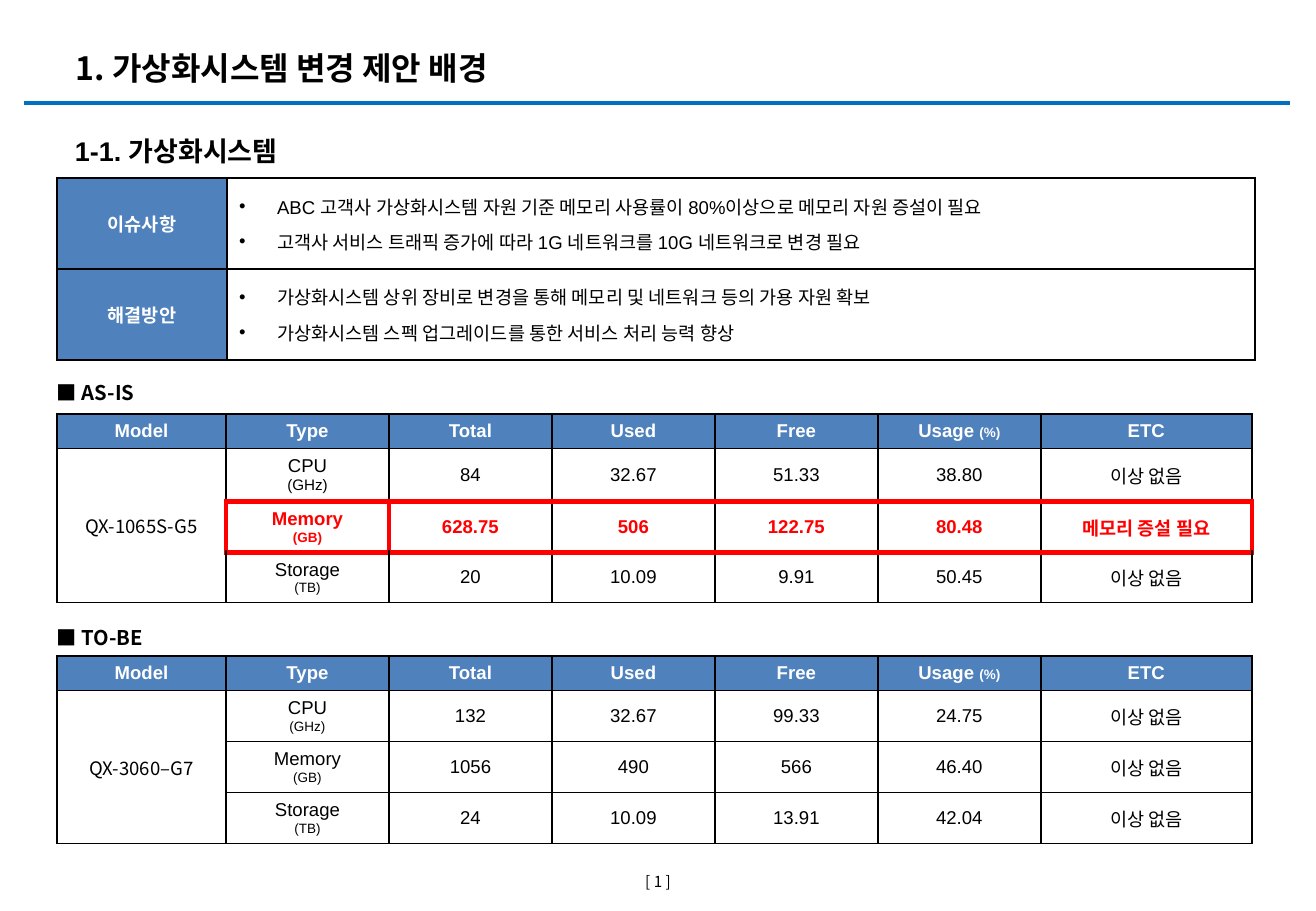
from lxml.etree import SubElement
from pptx import Presentation
from pptx.dml.color import RGBColor
from pptx.enum.shapes import MSO_CONNECTOR
from pptx.enum.text import MSO_ANCHOR, PP_ALIGN
from pptx.oxml.ns import qn
from pptx.util import Pt

PX = 7526
COLORS = {"ink": "000000", "header": "4F81BD", "white": "FFFFFF", "alert": "FF0000", "rule": "0070C0"}
LATIN, KOREAN = "Arial", "Noto Sans CJK KR"
HEADINGS = ["Model", "Type", "Total", "Used", "Free", "Usage ", "ETC"]
SPEC_COLUMNS = [169, 163, 163, 163, 163, 163, 211]
ISSUES = [
    ("이슈사항", ["ABC 고객사 가상화시스템 자원 기준 메모리 사용률이 80%이상으로 메모리 자원 증설이 필요",
              "고객사 서비스 트래픽 증가에 따라 1G 네트워크를 10G 네트워크로 변경 필요"]),
    ("해결방안", ["가상화시스템 상위 장비로 변경을 통해 메모리 및 네트워크 등의 가용 자원 확보",
              "가상화시스템 스펙 업그레이드를 통한 서비스 처리 능력 향상"]),
]
AS_IS = [
    ("CPU", "(GHz)", 9, ["84", "32.67", "51.33", "38.80", "이상 없음"]),
    ("Memory", "(GB)", 8, ["628.75", "506", "122.75", "80.48", "메모리 증설 필요"]),
    ("Storage", "(TB)", 8, ["20", "10.09", "9.91", "50.45", "이상 없음"]),
]
TO_BE = [
    ("CPU", "(GHz)", 8, ["132", "32.67", "99.33", "24.75", "이상 없음"]),
    ("Memory", "(GB)", 8, ["1056", "490", "566", "46.40", "이상 없음"]),
    ("Storage", "(TB)", 8, ["24", "10.09", "13.91", "42.04", "이상 없음"]),
]


def px(*lengths):
    """Turn pixel lengths into EMU."""
    return [length * PX for length in lengths]


def style(run, size, color="ink", bold=False, font=LATIN):
    """Format one run, with the Korean face for Hangul."""
    run.font.size = Pt(size)
    run.font.bold = bold
    run.font.name = font
    run.font.color.rgb = RGBColor.from_string(COLORS[color])
    SubElement(run.font._element, qn("a:ea"), typeface=KOREAN)


def write(paragraph, text, size=11, align=PP_ALIGN.CENTER, **look):
    """Fill a paragraph with one formatted run."""
    paragraph.text = text
    paragraph.alignment = align
    style(paragraph.runs[0], size, **look)


def label(slide, box, text, size, align=PP_ALIGN.LEFT, anchor=MSO_ANCHOR.TOP, wrap=True, inset=True, **look):
    """Place a text box and return its paragraph."""
    frame = slide.shapes.add_textbox(*px(*box)).text_frame
    frame.word_wrap = wrap
    frame.vertical_anchor = anchor
    if not inset:
        frame.margin_left = frame.margin_right = frame.margin_top = frame.margin_bottom = 0
    write(frame.paragraphs[0], text, size, align, **look)
    return frame.paragraphs[0]


def dress(cell, fill=None, alert_sides=""):
    """Give a cell its borders, anchor and fill."""
    for side in "LRTB":
        alert = side in alert_sides
        border = SubElement(cell._tc.get_or_add_tcPr(), qn(f"a:ln{side}"), w=str(Pt(3 if alert else 1)))
        paint = SubElement(border, qn("a:solidFill"))
        SubElement(paint, qn("a:srgbClr"), val=COLORS["alert" if alert else "ink"])
    cell.vertical_anchor = MSO_ANCHOR.MIDDLE
    if fill:
        cell.fill.solid()
        cell.fill.fore_color.rgb = RGBColor.from_string(COLORS[fill])
    else:
        cell.fill.background()


def grid(slide, left, top, widths, heights):
    """Add a plain table with the given column and row sizes."""
    table = slide.shapes.add_table(
        len(heights), len(widths), *px(left, top, sum(widths), sum(heights))).table
    table.first_row = table.horz_banding = False
    for column, width in zip(table.columns, widths):
        column.width = width * PX
    for row, height in zip(table.rows, heights):
        row.height = height * PX
    return table


def heading_block(slide, left, top, width):
    """Draw the slide title, its rule and the section heading."""
    label(slide, (left + 40, top, width - 70, 57), "1. 가상화시스템 변경 제안 배경", 19,
          anchor=MSO_ANCHOR.MIDDLE, bold=True, font=KOREAN)
    rule = slide.shapes.add_connector(
        MSO_CONNECTOR.STRAIGHT, *px(left, top + 64, left + width, top + 64))
    rule.line.width = Pt(2.25)
    rule.line.color.rgb = RGBColor.from_string(COLORS["rule"])
    SubElement(rule._element.spPr, qn("a:effectLst"))
    section = label(slide, (left + 39, top + 73, width - 70, 61), "1-1. 가상화시스템", 16, bold=True)
    section.line_spacing = 1.5


def issue_table(slide, left, top):
    """Draw the issues and solutions with their bullet points."""
    table = grid(slide, left, top, [170, 1028], [91, 91])
    for row, (topic, points) in enumerate(ISSUES):
        topic_cell, points_cell = table.cell(row, 0), table.cell(row, 1)
        dress(topic_cell, "header")
        write(topic_cell.text_frame.paragraphs[0], topic, color="white", bold=True)
        dress(points_cell)
        frame = points_cell.text_frame
        for index, point in enumerate(points):
            paragraph = frame.add_paragraph() if index else frame.paragraphs[0]
            write(paragraph, point, align=PP_ALIGN.LEFT)
            paragraph.space_after = Pt(0 if index else 5)
            properties = paragraph._p.get_or_add_pPr()
            properties.set("marL", str(38 * PX))
            properties.set("indent", str(-38 * PX))
            SubElement(properties, qn("a:buFont"), typeface=LATIN)
            SubElement(properties, qn("a:buChar"), char="•")


def alert_sides(row, column, alert_row):
    """Name the cell sides that touch the highlighted row."""
    if alert_row is None or column == 0:
        return ""
    sides = {alert_row - 1: "B", alert_row: "TB", alert_row + 1: "T"}.get(row, "")
    if row == alert_row:
        sides += {1: "LR", 2: "L", len(HEADINGS) - 1: "R"}.get(column, "")
    return sides


def spec_table(slide, left, top, model, resources, heights, alert_row=None):
    """Draw one resource table for a server model."""
    table = grid(slide, left, top, SPEC_COLUMNS, heights)
    for column, heading in enumerate(HEADINGS):
        cell = table.cell(0, column)
        dress(cell, "header")
        paragraph = cell.text_frame.paragraphs[0]
        write(paragraph, heading, color="white", bold=True)
        if heading == "Usage ":
            unit = paragraph.add_run()
            unit.text = "(%)"
            style(unit, 8, "white", True)
    for row, (kind, unit, unit_size, values) in enumerate(resources, 1):
        alert = row == alert_row
        look = {"color": "alert" if alert else "ink", "bold": alert}
        for column, text in enumerate([kind, *values], 1):
            cell = table.cell(row, column)
            dress(cell, alert_sides=alert_sides(row, column, alert_row))
            cell.margin_top = cell.margin_bottom = 3 * PX
            write(cell.text_frame.paragraphs[0], text, **look)
        write(table.cell(row, 1).text_frame.add_paragraph(), unit, unit_size, **look)
        dress(table.cell(row, 0), alert_sides="R" if alert else "")
    model_cell = table.cell(1, 0)
    model_cell.merge(table.cell(len(resources), 0))
    write(model_cell.text_frame.paragraphs[0], model, font=KOREAN)


def main():
    """Build the slide and save it."""
    deck = Presentation()
    deck.slide_width, deck.slide_height = px(1316, 911)
    slide = deck.slides.add_slide(deck.slide_layouts[6])
    heading_block(slide, 24, 39, 1266)
    issue_table(slide, 57, 178)
    label(slide, (45, 374, 110, 36), "■ AS-IS", 12, wrap=False, bold=True, font=KOREAN)
    spec_table(slide, 57, 414, "QX-1065S-G5", AS_IS, [34, 53, 51, 50], alert_row=2)
    label(slide, (45, 619, 112, 36), "■ TO-BE", 12, wrap=False, bold=True, font=KOREAN)
    spec_table(slide, 57, 656, "QX-3060–G7", TO_BE, [34, 51, 51, 51])
    label(slide, (628, 872, 60, 18), "[ 1 ]", 9, PP_ALIGN.CENTER, MSO_ANCHOR.MIDDLE, inset=False, font=KOREAN)
    deck.save("out.pptx")


if __name__ == "__main__":
    main()
